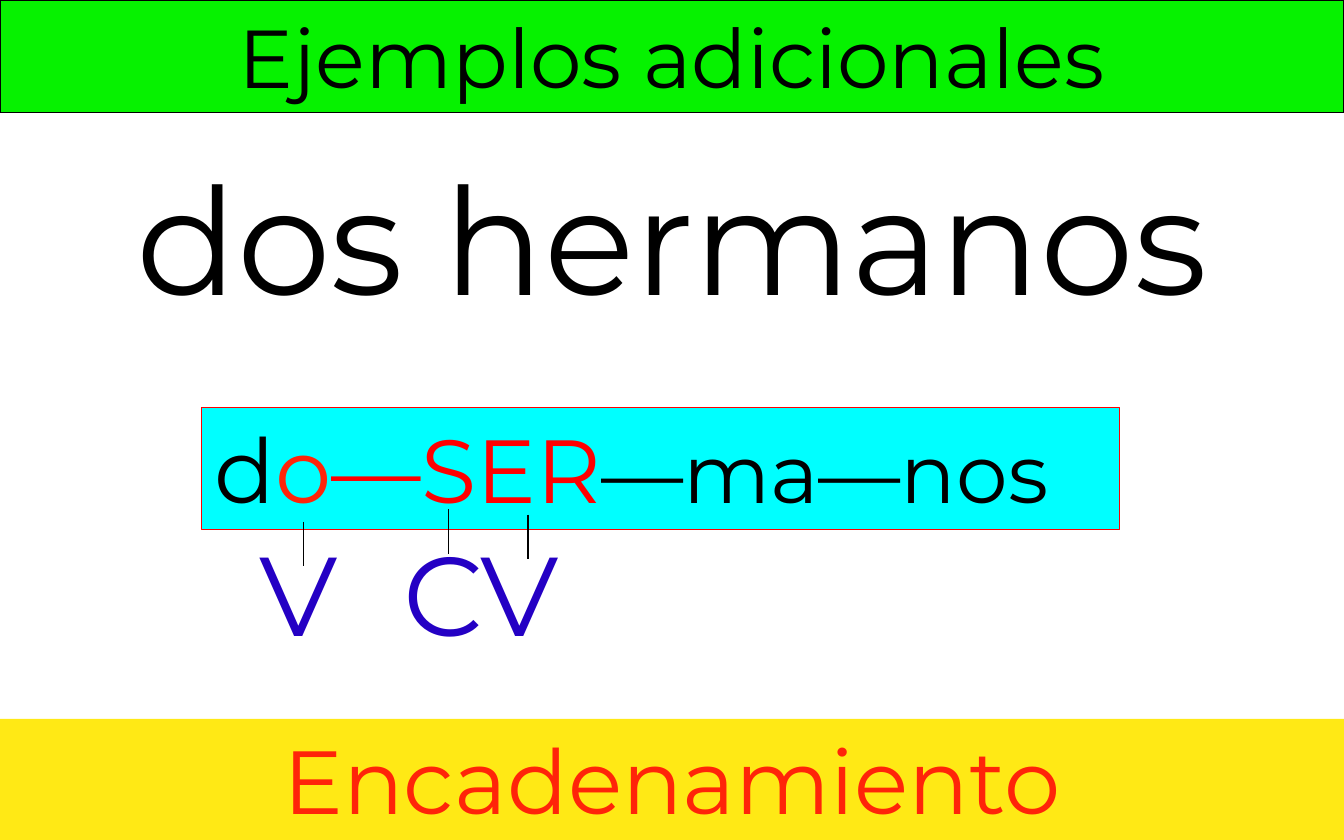
import pptx
import pptx.util
import pptx.dml.color
import pptx.enum.shapes
import pptx.enum.text
import pptx.oxml
import pptx.oxml.ns
from pptx.util import Cm

FONT = "Montserrat"
COLORS = {
    "black": "000000",
    "red": "FF0000",
    "orange": "FF2409",
    "blue": "2400C4",
    "cyan": "00FFFF",
    "yellow": "FFE915",
    "green": "06F200",
}
WIDTH, HEIGHT = Cm(25.4), Cm(15.88)


def rgb(name):
    return pptx.dml.color.RGBColor.from_string(COLORS[name])


def write(shape, runs, centred=True, wrap=True):
    tf = shape.text_frame
    tf.word_wrap = wrap
    tf.vertical_anchor = pptx.enum.text.MSO_ANCHOR.TOP
    tf.auto_size = pptx.enum.text.MSO_AUTO_SIZE.SHAPE_TO_FIT_TEXT
    p = tf.paragraphs[0]
    align = pptx.enum.text.PP_ALIGN
    p.alignment = align.CENTER if centred else align.LEFT
    for text, size, color in runs:
        r = p.add_run()
        r.text = text
        r.font.name = FONT
        r.font.size = pptx.util.Pt(size)
        r.font.color.rgb = rgb(color)


def paint(shape, fill, line=None):
    shape.fill.solid()
    shape.fill.fore_color.rgb = rgb(fill)
    if line:
        shape.line.color.rgb = rgb(line)
        shape.line.width = pptx.util.Pt(0.75)
    else:
        shape.line.fill.background()


def add_title(s, text):
    sp = s.shapes.title
    sp.left, sp.top, sp.width, sp.height = 0, 0, WIDTH, Cm(2.13)
    paint(sp, "green", "black")
    write(sp, [(text, 44, "black")])


def add_band(s, left, top, width, fill, runs, line=None, centred=True):
    sp = s.shapes.add_shape(
        pptx.enum.shapes.MSO_SHAPE.RECTANGLE, left, top, width, Cm(2.31))
    sp.shadow.inherit = False
    paint(sp, fill, line)
    write(sp, runs, centred)


def add_text(s, left, top, width, height, run, centred=True, wrap=True):
    sp = s.shapes.add_textbox(left, top, width, height)
    write(sp, [run], centred, wrap)


def add_tick(s, x, top):
    c = s.shapes.add_connector(
        pptx.enum.shapes.MSO_CONNECTOR.STRAIGHT, x, top, x, top + Cm(0.84))
    c.line.color.rgb = rgb("black")
    c.line.width = pptx.util.Pt(0.75)
    c._element.spPr.append(
        pptx.oxml.parse_xml("<a:effectLst %s/>" % pptx.oxml.ns.nsdecls("a")))


def main():
    prs = pptx.Presentation()
    prs.slide_width, prs.slide_height = WIDTH, HEIGHT
    s = prs.slides.add_slide(prs.slide_layouts[5])

    add_title(s, "Ejemplos adicionales")
    add_text(s, 0, Cm(2.64), WIDTH, Cm(3.68), ("dos hermanos", 80, "black"))

    syllables = [("d", 48, "black"), ("o", 48, "orange"),
                 ("—SER", 48, "red"), ("—ma—nos", 44, "black")]
    add_band(s, Cm(3.81), Cm(7.7), Cm(17.35), "cyan", syllables, "red", False)

    for letter, left, tick_x, tick_top in [("V", 4.65, 5.74, 9.86),
                                           ("C", 7.37, 8.48, 9.63),
                                           ("V", 8.84, 9.98, 9.73)]:
        add_text(s, Cm(left), Cm(9.8), Cm(2.18), Cm(2.82),
                 (letter, 60, "blue"), False, False)
        add_tick(s, Cm(tick_x), Cm(tick_top))

    add_band(s, 0, Cm(13.59), WIDTH, "yellow",
             [("Encadenamiento", 48, "orange")])
    prs.save("out.pptx")


if __name__ == "__main__":
    main()
